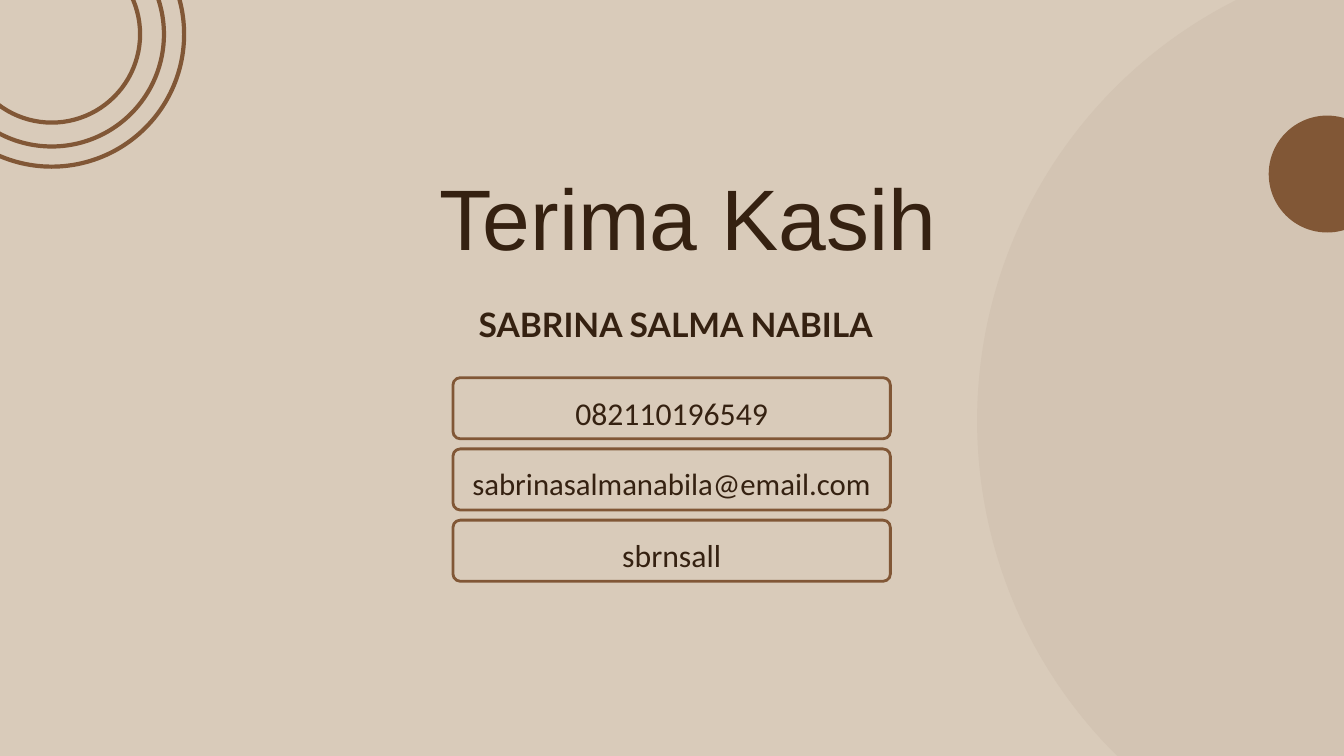
from pptx import Presentation
from pptx.dml.color import RGBColor
from pptx.enum.shapes import MSO_SHAPE as Shape
from pptx.enum.text import MSO_ANCHOR as Anchor, MSO_AUTO_SIZE as Auto, PP_ALIGN as Align
from pptx.util import Inches, Pt

COLORS = {"back": "D9CBBA", "disc": "D3C4B3", "brown": "815736", "text": "352111"}


def color(name):
    """Return the named colour."""
    return RGBColor.from_string(COLORS[name])


def write(shape, text, size, font, lead, bold=False, top=0):
    """Set one centred paragraph in a shape without side insets."""
    frame = shape.text_frame
    frame.word_wrap = True
    frame.auto_size = Auto.NONE
    frame.vertical_anchor = Anchor.TOP
    frame.margin_left = frame.margin_right = frame.margin_bottom = 0
    frame.margin_top = Inches(top)
    frame.text = text
    para = frame.paragraphs[0]
    para.alignment = Align.CENTER
    para.line_spacing = Pt(lead)
    para.font.size = Pt(size)
    para.font.name = font
    para.font.bold = bold
    para.font.color.rgb = color("text")


def outline(shape, width):
    """Leave a shape unfilled with a brown line."""
    shape.fill.background()
    shape.line.color.rgb = color("brown")
    shape.line.width = Pt(width)


def circle(slide, x, y, size):
    """Add a circle around a centre point."""
    left, top = Inches(x - size / 2), Inches(y - size / 2)
    oval = slide.shapes.add_shape(Shape.OVAL, left, top, Inches(size), Inches(size))
    oval.shadow.inherit = False
    return oval


def disc(slide, x, y, size, fill):
    """Add a filled circle without a line."""
    oval = circle(slide, x, y, size)
    oval.fill.solid()
    oval.fill.fore_color.rgb = color(fill)
    oval.line.fill.background()


def rings(slide, x, y, sizes):
    """Add rings that share one centre."""
    for size in sizes:
        outline(circle(slide, x, y, size), 4.5)


def heading(slide, left, top, width, height):
    """Place the thanks in the title placeholder and the name below it."""
    title = slide.shapes.title
    title.left, title.top = Inches(left), Inches(top)
    title.width, title.height = Inches(width), Inches(height)
    write(title, "Terima Kasih", 92, "Arial", 128.8)
    name = slide.shapes.add_textbox(
        Inches(left - 0.13), Inches(top + 2.22), Inches(8.97), Inches(0.68))
    write(name, "SABRINA SALMA NABILA", 36, "Lato", 50.4, bold=True)


def contacts(slide, left, top, width, height, step):
    """Stack the contact details in rounded frames."""
    items = [("082110196549", 34), ("sabrinasalmanabila@email.com", 33), ("sbrnsall", 34)]
    for row, (text, size) in enumerate(items):
        card = slide.shapes.add_shape(
            Shape.ROUNDED_RECTANGLE, Inches(left), Inches(top + row * step),
            Inches(width), Inches(height))
        card.shadow.inherit = False
        card.adjustments[0] = 0.12
        outline(card, 3)
        write(card, text, size, "Calibri", size * 1.4, top=0.11)


def main():
    """Build and save the closing slide."""
    deck = Presentation()
    deck.slide_width, deck.slide_height = Inches(20), Inches(11.25)
    slide = deck.slides.add_slide(deck.slide_layouts[5])
    slide.background.fill.solid()
    slide.background.fill.fore_color.rgb = color("back")
    disc(slide, 21.55, 6.26, 14.02, "disc")
    heading(slide, 5.7, 2.2, 9.08, 1.81)
    contacts(slide, 6.74, 5.62, 6.51, 0.91, 1.06)
    rings(slide, 0.77, 0.51, (3.94, 3.34, 2.63))
    disc(slide, 19.75, 2.59, 1.74, "brown")
    deck.save("out.pptx")


if __name__ == "__main__":
    main()
